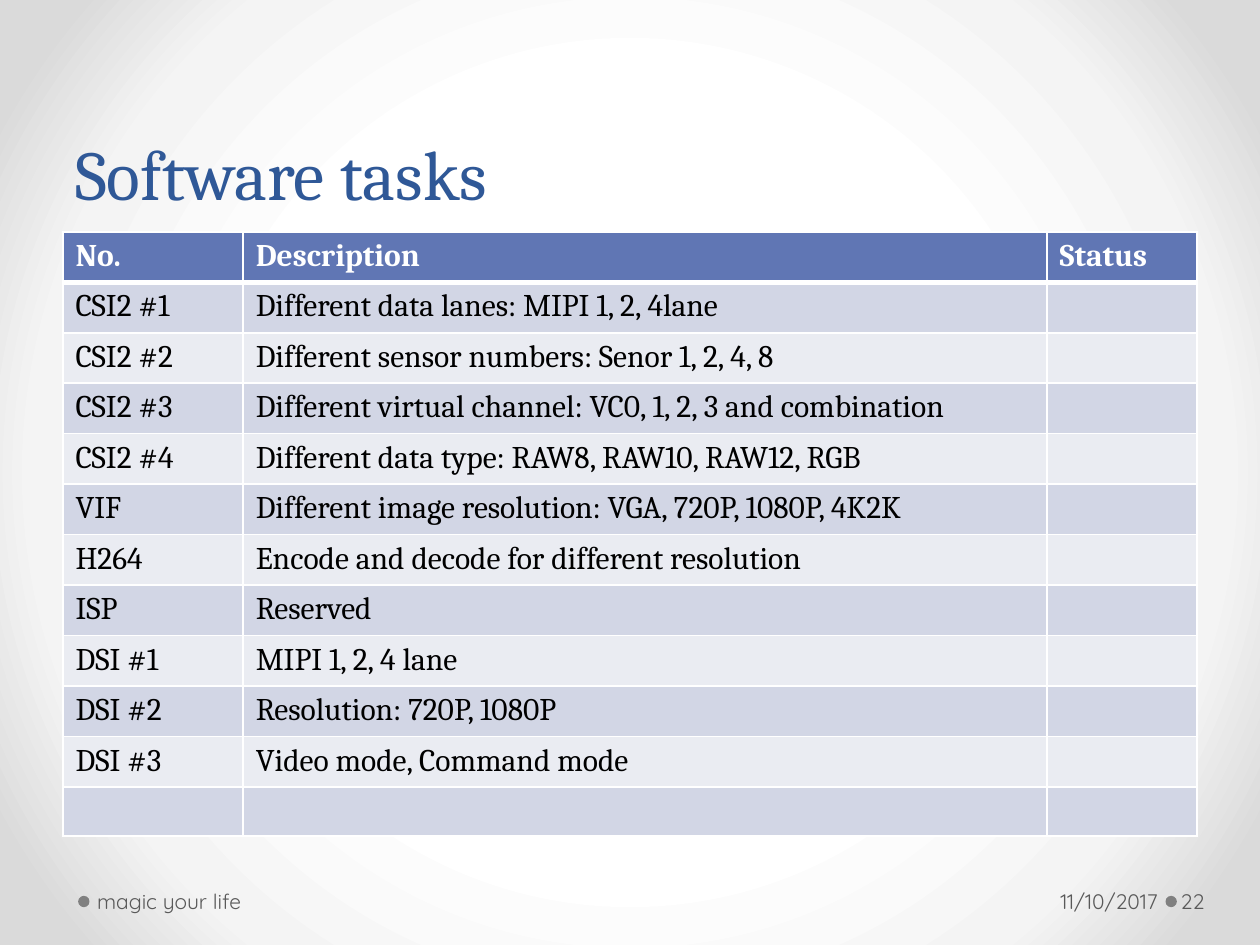
from dataclasses import dataclass

from pptx import Presentation
from pptx import util as u
from pptx.dml.color import RGBColor
from pptx.enum import shapes, text
from pptx.oxml import parse_xml
from pptx.oxml import ns


@dataclass(frozen=True)
class Theme:
    serif: str = "Cambria"
    sans: str = "Quicksand"
    title: str = "2F5897"
    head: str = "6076B4"
    bands: tuple = ("D2D6E5", "EAECF2")
    white: str = "FFFFFF"
    black: str = "000000"
    note: str = "595959"
    dot: str = "808080"
    glow: tuple = ((50, "FFFFFF"), (76, "F4F4F4"), (92, "DADADA"))
    big: int = 40
    body: int = 18
    small: int = 12


T = Theme()
HEADS = ("No.", "Description", "Status")
TASKS = (
    ("CSI2 #1", "Different data lanes: MIPI 1, 2, 4lane"),
    ("CSI2 #2", "Different sensor numbers: Senor 1, 2, 4, 8"),
    ("CSI2 #3", "Different virtual channel: VC0, 1, 2, 3 and combination"),
    ("CSI2 #4", "Different data type: RAW8, RAW10, RAW12, RGB"),
    ("VIF", "Different image resolution: VGA, 720P, 1080P, 4K2K"),
    ("H264", "Encode and decode for different resolution"),
    ("ISP", "Reserved"),
    ("DSI #1", "MIPI 1, 2, 4 lane"),
    ("DSI #2", "Resolution: 720P, 1080P"),
    ("DSI #3", "Video mode, Command mode"),
    ("", ""),
)


def write(frame, words, font=T.serif, size=T.body, color=T.black,
          bold=False, align=text.PP_ALIGN.LEFT, lead=None):
    para = frame.paragraphs[0]
    para.alignment = align
    if lead:
        para.line_spacing = u.Pt(lead)
    run = para.add_run()
    run.text = words
    run.font.name = font
    run.font.size = u.Pt(size)
    run.font.bold = bold
    run.font.color.rgb = RGBColor.from_string(color)


def label(slide, box, words, anchor=text.MSO_ANCHOR.MIDDLE,
          left=0.1, right=0.1, **form):
    frame = slide.shapes.add_textbox(*map(u.Inches, box)).text_frame
    frame.word_wrap = True
    frame.vertical_anchor = anchor
    frame.margin_left, frame.margin_right = u.Inches(left), u.Inches(right)
    write(frame, words, **form)


def backdrop(slide):
    stops = "".join(
        f'<a:gs pos="{pos * 1000}"><a:srgbClr val="{color}"/></a:gs>'
        for pos, color in T.glow)
    slide.background.fill.solid()
    solid = slide.element.find(".//" + ns.qn("a:solidFill"))
    glow = parse_xml(
        f'<a:gradFill {ns.nsdecls("a")} rotWithShape="1">'
        f'<a:gsLst>{stops}</a:gsLst><a:path path="circle">'
        '<a:fillToRect l="50000" t="50000" r="50000" b="50000"/>'
        '</a:path></a:gradFill>')
    solid.getparent().replace(solid, glow)


def border(cell, base):
    props = cell._tc.get_or_add_tcPr()
    for side, width in (("L", 1), ("R", 1), ("T", 1), ("B", base)):
        props.append(parse_xml(
            f'<a:ln{side} {ns.nsdecls("a")} w="{u.Pt(width)}"><a:solidFill>'
            f'<a:srgbClr val="{T.white}"/></a:solidFill></a:ln{side}>'))


def paint(cell, words, fill, base=1, **form):
    border(cell, base)
    cell.fill.solid()
    cell.fill.fore_color.rgb = RGBColor.from_string(fill)
    if words:
        write(cell.text_frame, words, **form)
    else:
        cell.margin_top = cell.margin_bottom = 0


def grid(slide, box, shares):
    count = len(TASKS) + 1
    table = slide.shapes.add_table(
        count, len(HEADS), *map(u.Inches, box)).table
    for col, share in zip(table.columns, shares):
        col.width = u.Inches(box[2] * share / sum(shares))
    for row in table.rows:
        row.height = u.Inches(box[3] / count)
    for col, words in enumerate(HEADS):
        paint(table.cell(0, col), words, T.head, base=3,
              color=T.white, bold=True)
    for row, task in enumerate(TASKS, 1):
        for col, words in enumerate((*task, "")):
            paint(table.cell(row, col), words, T.bands[(row - 1) % 2])


def dot(slide, left, top, size=0.09):
    shape = slide.shapes.add_shape(
        shapes.MSO_SHAPE.OVAL, *map(u.Inches, (left, top, size, size)))
    shape.shadow.inherit = False
    shape.fill.solid()
    shape.fill.fore_color.rgb = RGBColor.from_string(T.dot)
    shape.line.fill.background()


def footer(slide, box):
    left, top, width, height = box
    end = left + width
    note = dict(font=T.sans, size=T.small, color=T.note)
    for spot in (left, end - 0.7):
        dot(slide, spot, top + 0.16)
    label(slide, (end - 2.99, top, 2.28, height), "11/10/2017",
          right=0.05, align=text.PP_ALIGN.RIGHT, **note)
    label(slide, (left + 0.1, top, 3.11, height), "magic your life",
          left=0.05, **note)
    label(slide, (end - 0.61, top, 0.61, height), "22",
          left=0.03, right=0.05, **note)


def main():
    deck = Presentation()
    deck.slide_width, deck.slide_height = u.Inches(10), u.Inches(7.5)
    slide = deck.slides.add_slide(deck.slide_layouts[6])
    backdrop(slide)
    label(slide, (0.5, 0, 9, 1.75), "Software tasks",
          anchor=text.MSO_ANCHOR.BOTTOM, size=T.big, color=T.title, lead=58)
    grid(slide, (0.5, 1.84, 9, 4.67), (1.43, 6.38, 1.19))
    footer(slide, (0.62, 6.95, 9.33, 0.4))
    deck.save("out.pptx")


if __name__ == "__main__":
    main()
